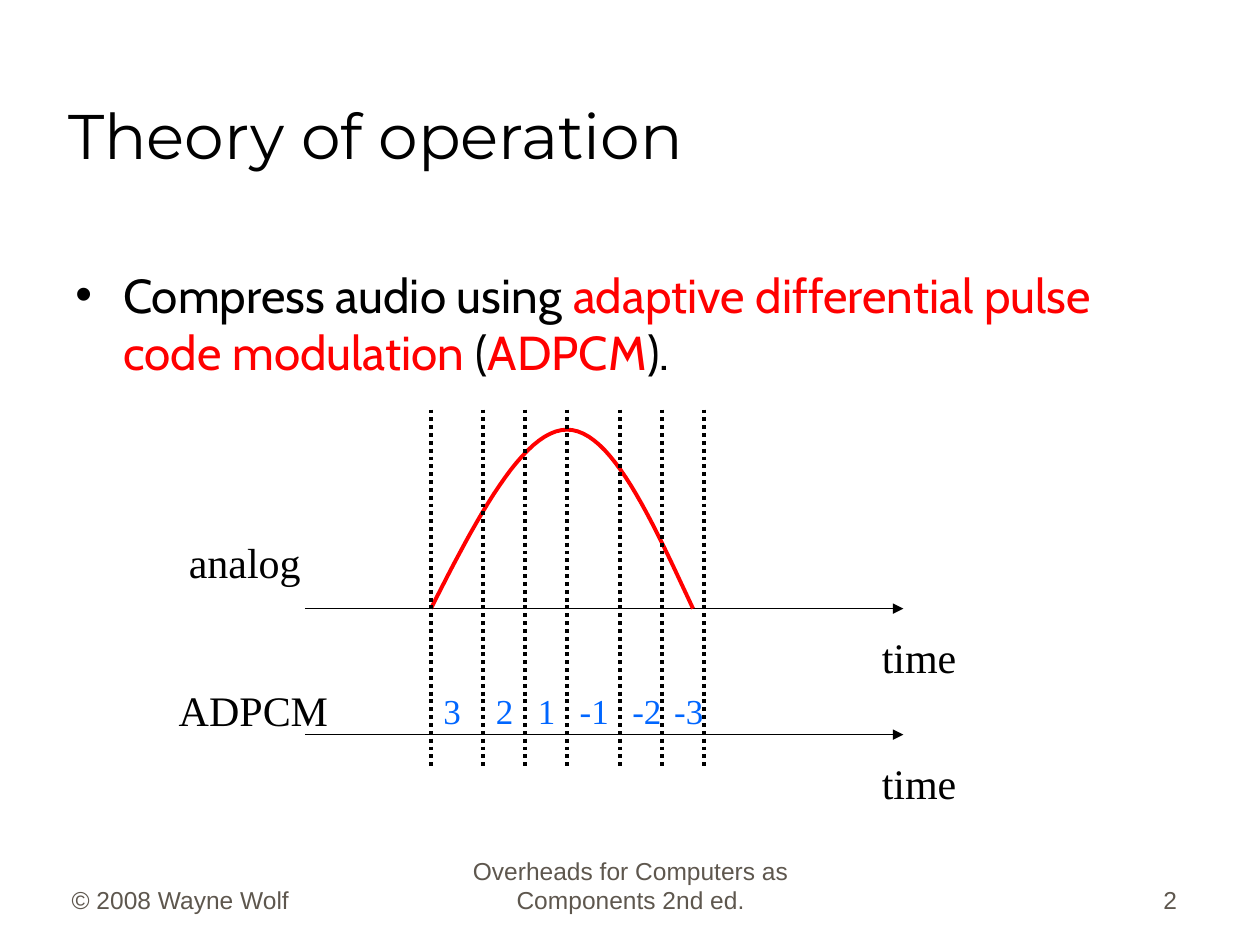
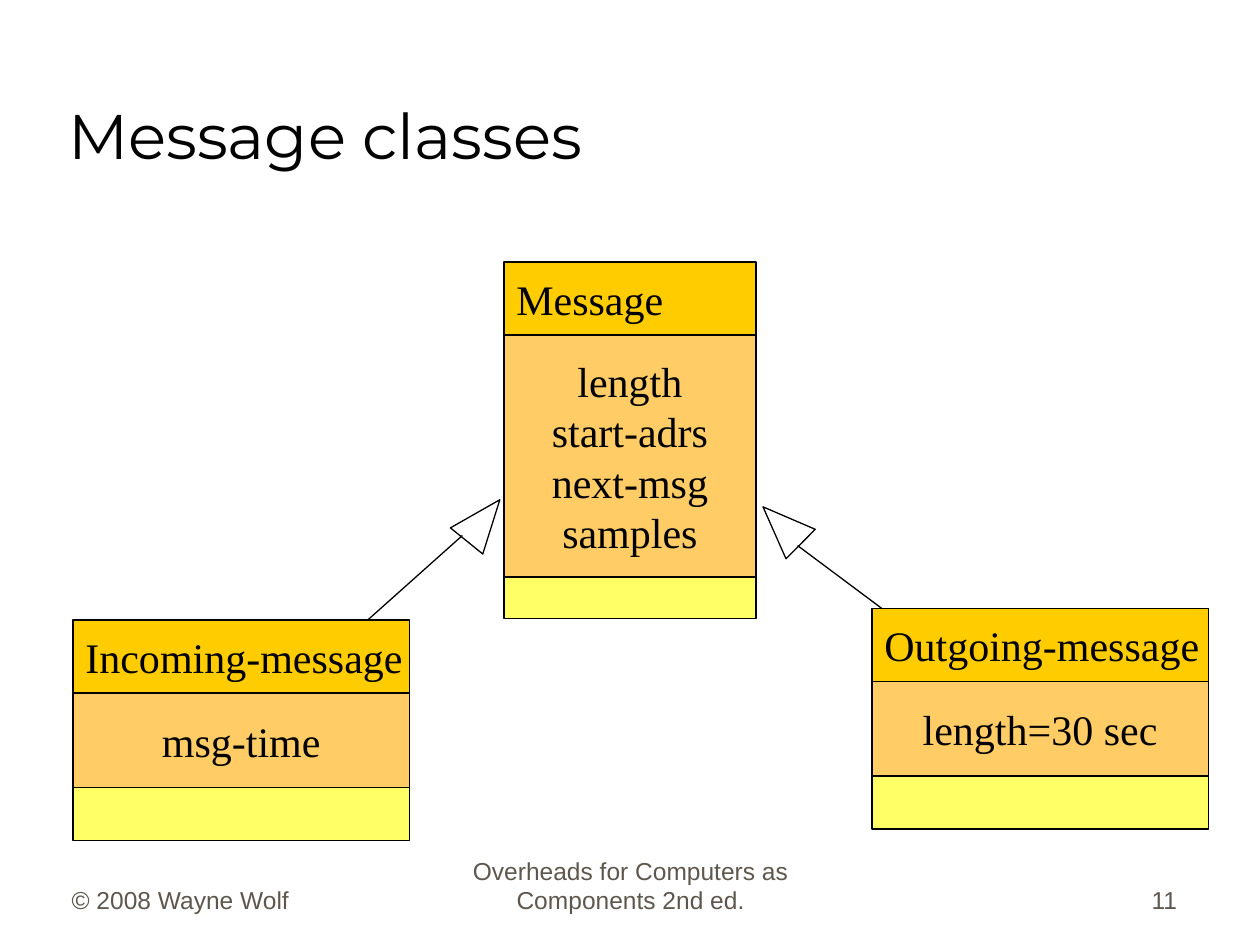
from dataclasses import dataclass
from lxml.etree import SubElement
from pptx import Presentation
from pptx.dml.color import RGBColor
from pptx.enum.dml import MSO_LINE
from pptx.enum.shapes import MSO_CONNECTOR, MSO_SHAPE
from pptx.enum.text import MSO_ANCHOR, MSO_AUTO_SIZE, PP_ALIGN
from pptx.oxml.ns import qn
from pptx.util import Inches, Pt


@dataclass(frozen=True)
class Theme:
    ink: str = "000000"
    paper: str = "FFFFFF"
    red: str = "FF0000"
    blue: str = "0066FF"
    grey: str = "5E574E"
    head: str = "FFCC00"
    field: str = "FFCC66"
    method: str = "FFFF66"
    title: tuple = ("Montserrat", 36)
    body: tuple = ("Cabin", 27.2)
    label: tuple = ("Times New Roman", 24)
    code: tuple = ("Times New Roman", 20)
    foot: tuple = ("Arial", 14)
    thin: float = 0.75
    thick: float = 2.25


THEME = Theme()
LEFT, MID, RIGHT = PP_ALIGN.LEFT, PP_ALIGN.CENTER, PP_ALIGN.RIGHT


def tint(color):
    return RGBColor.from_string(color)


def add_runs(para, runs, font, align=LEFT):
    """Add (text, colour) runs in one font to a paragraph."""
    para.alignment = align
    for text, color in runs:
        run = para.add_run()
        run.text = text
        run.font.name, run.font.size = font[0], Pt(font[1])
        run.font.color.rgb = tint(color)


def add_text(slide, box, text, font, color=THEME.ink, align=LEFT,
             anchor=MSO_ANCHOR.TOP, wrap=False):
    frame = slide.shapes.add_textbox(*map(Inches, box)).text_frame
    frame.word_wrap = wrap
    frame.auto_size = (MSO_AUTO_SIZE.NONE if wrap
                       else MSO_AUTO_SIZE.SHAPE_TO_FIT_TEXT)
    frame.vertical_anchor = anchor
    add_runs(frame.paragraphs[0], [(text, color)], font, align)


def add_line(slide, start, end, width=THEME.thin, dash=None, arrow=False):
    line = slide.shapes.add_connector(
        MSO_CONNECTOR.STRAIGHT, *map(Inches, (*start, *end)))
    line.line.color.rgb = tint(THEME.ink)
    line.line.width = Pt(width)
    if dash:
        line.line.dash_style = dash
    props = line.element.spPr
    if arrow:
        SubElement(props.find(qn("a:ln")), qn("a:tailEnd"), type="triangle")
    SubElement(props, qn("a:effectLst"))


def add_block(slide, kind, box, fill):
    shape = slide.shapes.add_shape(kind, *map(Inches, box))
    shape.shadow.inherit = False
    shape.fill.solid()
    shape.fill.fore_color.rgb = tint(fill)
    shape.line.color.rgb = tint(THEME.ink)
    shape.line.width = Pt(THEME.thin)
    return shape


def add_base(deck, title, number):
    """Add a slide with its title and footers."""
    slide = deck.slides.add_slide(deck.slide_layouts[5])
    feet = [(0.47, 2.08, "© 2008 Wayne Wolf", LEFT),
            (3.42, 3.17, "Overheads for Computers as Components 2nd ed.", MID),
            (7.36, 2.08, str(number), RIGHT)]
    for left, width, text, align in feet:
        add_text(slide, (left, 6.81, width, 0.5), text, THEME.foot,
                 THEME.grey, align, MSO_ANCHOR.BOTTOM, wrap=True)
    head = slide.shapes.title
    head.left, head.top, head.width, head.height = map(
        Inches, (0.44, 0.25, 8.97, 1.17))
    frame = head.text_frame
    frame.auto_size = MSO_AUTO_SIZE.NONE
    frame.vertical_anchor = MSO_ANCHOR.BOTTOM
    add_runs(frame.paragraphs[0], [(title, THEME.ink)], THEME.title)
    return slide


def add_bullet(slide, box, runs):
    frame = slide.shapes.add_textbox(*map(Inches, box)).text_frame
    frame.word_wrap = True
    para = frame.paragraphs[0]
    props = para._p.get_or_add_pPr()
    props.set("marL", str(Inches(0.38)))
    props.set("indent", str(-Inches(0.38)))
    color = SubElement(props, qn("a:buClr"))
    SubElement(color, qn("a:srgbClr"), val=THEME.ink)
    SubElement(props, qn("a:buFont"), typeface="Arial")
    SubElement(props, qn("a:buChar"), char="•")
    add_runs(para, runs, THEME.body)


def add_axis(slide, left, top):
    add_line(slide, (left, top), (left + 4.75, top), arrow=True)
    add_text(slide, (left + 4.48, top + 0.13, 0.79, 0.5), "time", THEME.label)


def trace(points, steps=24):
    """Sample one cubic curve, start point left out."""
    for step in range(1, steps + 1):
        t = step / steps
        u = 1 - t
        parts = (u**3, 3 * u * u * t, 3 * u * t * t, t**3)
        yield tuple(sum(w * p[axis] for w, p in zip(parts, points))
                    for axis in (0, 1))


def add_wave(slide, left, base):
    rise = [(0, 0), (0.36, -0.71), (0.73, -1.42), (1.08, -1.42)]
    fall = [rise[-1], (1.43, -1.42), (1.75, -0.71), (2.08, 0)]
    points = [(Inches(left + x), Inches(base + y))
              for half in (rise, fall) for x, y in trace(half)]
    pen = slide.shapes.build_freeform(Inches(left), Inches(base))
    pen.add_line_segments(points, close=False)
    wave = pen.convert_to_shape()
    wave.shadow.inherit = False
    wave.fill.background()
    wave.line.color.rgb = tint(THEME.red)
    wave.line.width = Pt(THEME.thick)


def add_graph(slide, left, top):
    """Draw the analog wave, its sample times and the ADPCM codes."""
    for drop in (1.58, 2.58):
        add_axis(slide, left - 1, top + drop)
    add_wave(slide, left, top + 1.58)
    times = [left + tick / 12 for tick in (0, 5, 9, 13, 18, 22, 26)]
    for x in times:
        add_line(slide, (x, top), (x, top + 2.83), THEME.thick,
                 MSO_LINE.ROUND_DOT)
    add_text(slide, (left - 2.02, top + 0.96, 1.09, 0.5), "analog",
             THEME.label)
    add_text(slide, (left - 2.1, top + 2.13, 1.45, 0.5), "ADPCM", THEME.label)
    for x, code in zip(times, (3, 2, 1, -1, -2, -3)):
        width = 0.34 if code > 0 else 0.43
        add_text(slide, (x, top + 2.17, width, 0.44), str(code),
                 THEME.code, THEME.blue)


def add_class(slide, box, name, fields, foot):
    """Stack name, fields and an empty method row of height foot."""
    left, top, width, height = box
    head = 0.58
    rows = [(head, THEME.head, [name], LEFT),
            (height - head - foot, THEME.field, fields, MID),
            (foot, THEME.method, [], MID)]
    for tall, fill, lines, align in rows:
        shape = add_block(slide, MSO_SHAPE.RECTANGLE,
                          (left, top, width, tall), fill)
        frame = shape.text_frame
        frame.word_wrap = False
        frame.vertical_anchor = MSO_ANCHOR.MIDDLE
        for index, line in enumerate(lines):
            para = frame.add_paragraph() if index else frame.paragraphs[0]
            add_runs(para, [(line, THEME.ink)], THEME.label, align)
        top += tall


def add_parent(slide, tip, angle, start, end):
    """Link a subclass to its parent with a hollow arrowhead."""
    head = add_block(slide, MSO_SHAPE.ISOSCELES_TRIANGLE,
                     (*tip, 0.33, 0.42), THEME.paper)
    head.rotation = angle
    add_line(slide, start, end)


def build_theory(deck):
    slide = add_base(deck, "Theory of operation", 2)
    add_bullet(slide, (0.5, 2.06, 8.94, 1.35), [
        ("Compress audio using ", THEME.ink),
        ("adaptive differential pulse code modulation", THEME.red),
        (" (", THEME.ink), ("ADPCM", THEME.red), (").", THEME.ink)])
    add_graph(slide, 3.42, 3.25)


def build_classes(deck):
    slide = add_base(deck, "Message classes", 11)
    add_class(slide, (4, 2.08, 2, 2.83), "Message",
              ["length", "start-adrs", "next-msg", "samples"], 0.33)
    add_class(slide, (0.58, 4.92, 2.67, 1.75), "Incoming-message",
              ["msg-time"], 0.42)
    add_class(slide, (6.92, 4.83, 2.67, 1.75), "Outgoing-message",
              ["length=30 sec"], 0.42)
    add_parent(slide, (3.67, 3.92), 38.9, (3.67, 4.25), (2.92, 4.92))
    add_parent(slide, (6.04, 3.96), 314.7, (6.33, 4.33), (7, 4.83))


def main():
    deck = Presentation()
    deck.slide_width, deck.slide_height = Inches(10), Inches(7.5)
    build_theory(deck)
    build_classes(deck)
    deck.save("out.pptx")


if __name__ == "__main__":
    main()
